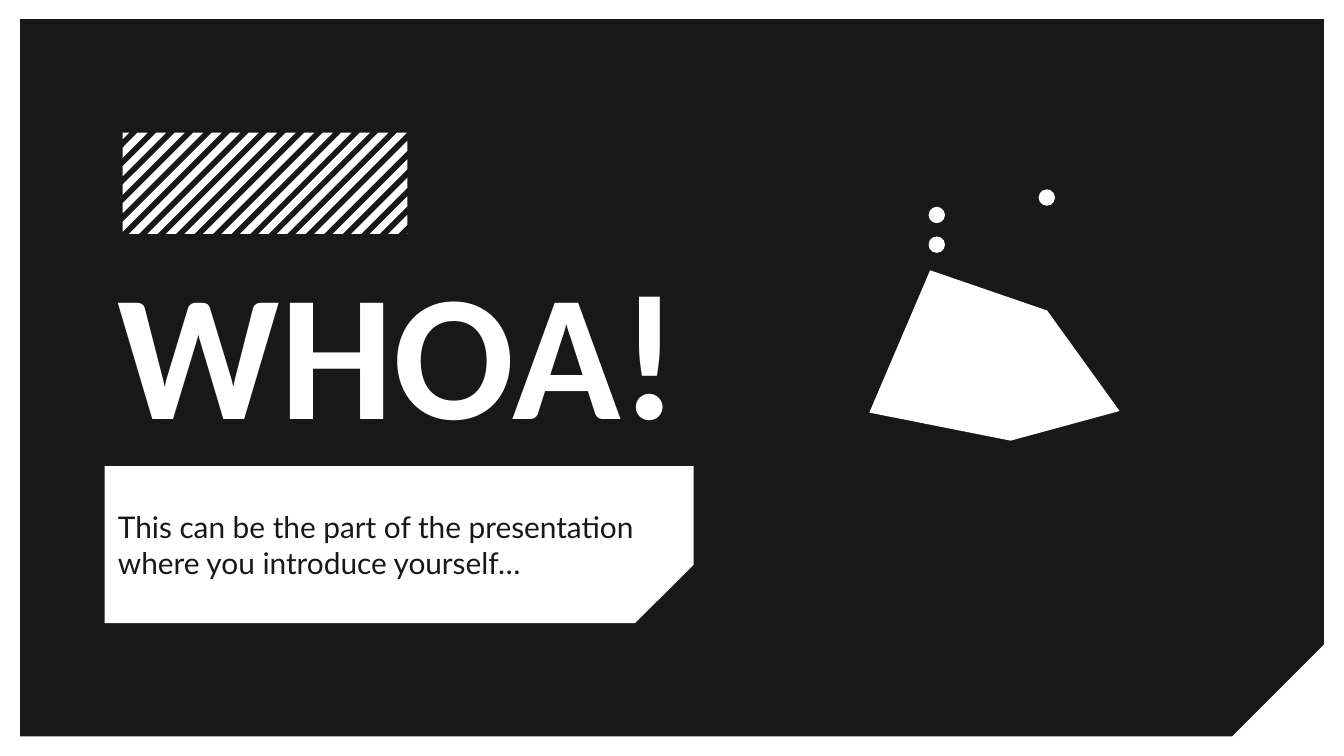
from dataclasses import dataclass

from pptx import Presentation
from pptx.dml.color import RGBColor
from pptx.enum.shapes import MSO_SHAPE
from pptx.enum.text import MSO_ANCHOR, MSO_AUTO_SIZE, PP_ALIGN
from pptx.oxml.ns import qn
from pptx.util import Cm, Pt


@dataclass(frozen=True)
class Theme:
    dark: RGBColor = RGBColor(0x18, 0x18, 0x18)
    light: RGBColor = RGBColor(0xFF, 0xFF, 0xFF)
    title_size: Pt = Pt(96)
    intro_size: Pt = Pt(16)
    title_font: str = "Calibri"
    intro_font: str = "Lato"


def apply(target, values):
    for name, value in values.items():
        setattr(target, name, value)


class SlideBuilder:
    def __init__(self, slide, theme):
        self.slide = slide
        self.theme = theme

    def paint(self, shape, color):
        shape.shadow.inherit = False
        shape.fill.solid()
        shape.fill.fore_color.rgb = color
        shape.line.fill.background()

    def group(self):
        return self.slide.shapes.add_group_shape().shapes

    def snipped_panel(self, box, snip, color):
        panel = self.slide.shapes.add_shape(
            MSO_SHAPE.SNIP_1_RECTANGLE, *map(Cm, box))
        panel.adjustments[0] = snip
        panel.rotation = 180
        panel._element.spPr.find(qn("a:xfrm")).set("flipH", "1")
        self.paint(panel, color)

    def polygon(self, shapes, points):
        start, *rest = [(Cm(x), Cm(y)) for x, y in points]
        outline = shapes.build_freeform(*start)
        outline.add_line_segments(rest, close=True)
        self.paint(outline.convert_to_shape(), self.theme.light)

    def dot(self, shapes, left, top, size=0.31):
        circle = shapes.add_shape(
            MSO_SHAPE.OVAL, Cm(left), Cm(top), Cm(size), Cm(size))
        self.paint(circle, self.theme.light)

    def stripes(self, left, top, width, height, count, first, pitch, band):
        shapes = self.group()

        def diagonal(offset):
            offset = max(0, min(offset, width + height))
            x, y = min(offset, width), min(offset, height)
            return [(left + x, top + offset - x), (left + offset - y, top + y)]

        for index in range(count):
            start = first + index * pitch
            upper, lower = diagonal(start), diagonal(start + band)
            self.polygon(shapes, upper + lower[::-1])

    def placeholder(self, index, box, wording, font):
        holder = self.slide.placeholders[index]
        apply(holder, dict(zip(("left", "top", "width", "height"), map(Cm, box))))
        self.slide.shapes._spTree.append(holder._element)
        frame = holder.text_frame
        frame.text = wording
        margins = ("margin_left", "margin_top", "margin_right", "margin_bottom")
        apply(frame, {
            "word_wrap": True,
            "auto_size": MSO_AUTO_SIZE.NONE,
            "vertical_anchor": MSO_ANCHOR.MIDDLE,
            **dict.fromkeys(margins, Cm(0.25)),
        })
        paragraph = frame.paragraphs[0]
        apply(paragraph, {
            "alignment": PP_ALIGN.LEFT,
            "line_spacing": 1.0,
            "space_before": Pt(0),
        })
        color = font.pop("color")
        run = paragraph.runs[0]
        apply(run.font, font)
        run.font.color.rgb = color


def main():
    theme = Theme()
    deck = Presentation()
    apply(deck, {"slide_width": Cm(25.4), "slide_height": Cm(14.29)})
    builder = SlideBuilder(deck.slides.add_slide(deck.slide_layouts[0]), theme)

    builder.snipped_panel((0.38, 0.36, 24.64, 13.56), 0.128, theme.dark)
    builder.snipped_panel((1.98, 8.81, 11.13, 2.97), 0.373, theme.light)
    builder.placeholder(0, (1.98, 4.8, 11.68, 3.56), "WHOA!", {
        "name": theme.title_font, "size": theme.title_size,
        "bold": True, "color": theme.light,
    })
    builder.placeholder(
        1, (1.98, 9.27, 10.69, 2.06),
        "This can be the part of the presentation where you introduce yourself…",
        {"name": theme.intro_font, "size": theme.intro_size,
         "bold": False, "color": theme.dark})

    builder.stripes(2.32, 2.51, 5.38, 1.91,
                    count=22, first=-0.07, pitch=0.35, band=0.19)

    emblem = builder.group()
    builder.polygon(emblem, [(17.58, 5.11), (16.43, 7.8), (19.1, 8.33),
                             (21.16, 7.77), (19.79, 5.87)])
    for left, top in [(19.63, 3.58), (17.55, 3.91), (17.55, 4.47)]:
        builder.dot(emblem, left, top)

    deck.save("out.pptx")


if __name__ == "__main__":
    main()
